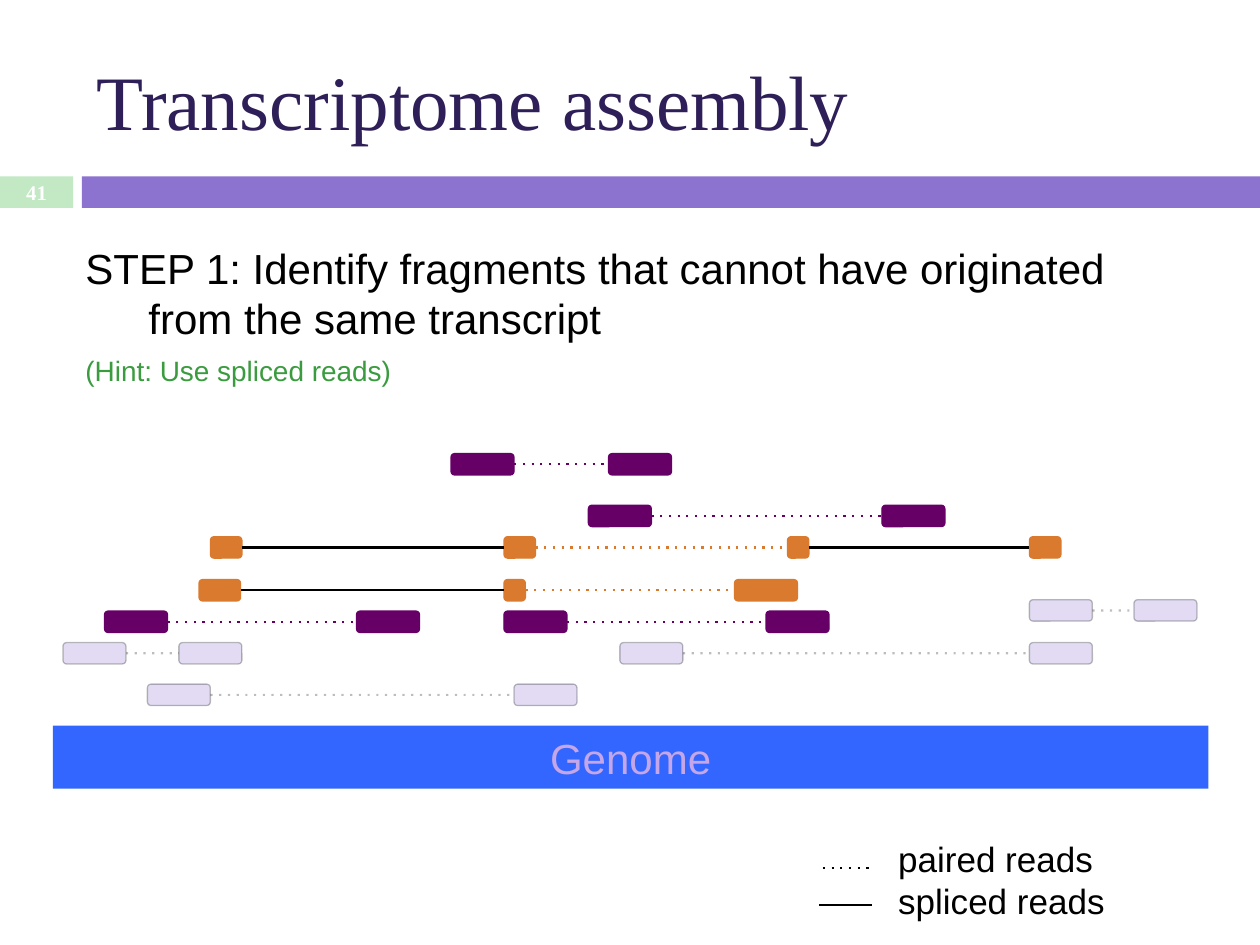
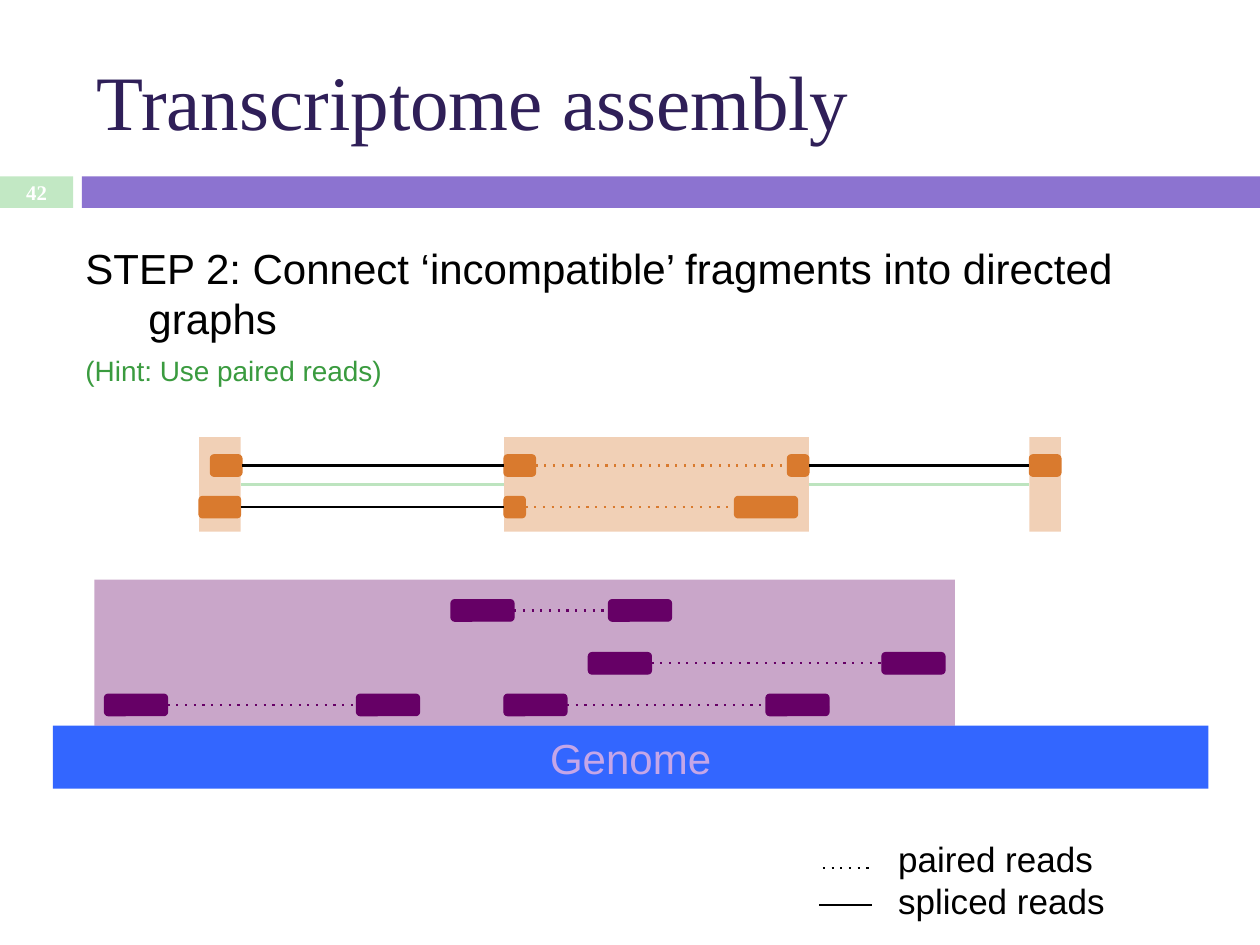
from collections import namedtuple
from itertools import pairwise

from lxml.etree import SubElement
from pptx import Presentation
from pptx.dml.color import RGBColor
from pptx.enum.shapes import MSO_CONNECTOR as CONNECTOR, MSO_SHAPE as SHAPE
from pptx.enum.text import MSO_ANCHOR as ANCHOR, PP_ALIGN as ALIGN
from pptx.oxml.ns import qn
from pptx.util import Inches, Pt

COLORS = {
    "black": "000000", "white": "FFFFFF", "title": "2F1F58", "hint": "3A9B3F",
    "band": "8C73D0", "number": "C2E8C4", "genome": "3366FF", "genome text": "C5A6E8",
    "orange": "D97A2E", "purple": "660066", "edge": "BDE4BF",
}
SANS, SERIF = "Arial", "Times New Roman"
BLOCK_H = 0.17
LEFT, RIGHT = 1, 3

Read = namedtuple("Read", "kind blocks links")
PAIRED, SPLICED = "paired", "spliced"

LONG_SPLICED = Read("orange", [(1.67, 0.25), (4, 0.25), (6.25, 0.17), (8.17, 0.25)],
                    [SPLICED, PAIRED, SPLICED])
SHORT_SPLICED = Read("orange", [(1.58, 0.33), (4, 0.17), (5.83, 0.5)], [SPLICED, PAIRED])


def pair(kind, x1, x2):
    """Return a read of two half-inch blocks joined by a paired link."""
    return Read(kind, [(x1, 0.5), (x2, 0.5)], [PAIRED])


PURPLE_TOP = pair("purple", 3.58, 4.83)
PURPLE_MIDDLE = pair("purple", 4.67, 7)
PURPLE_LEFT = pair("purple", 0.83, 2.83)
PURPLE_RIGHT = pair("purple", 4, 6.08)

STEP1_ROWS = [
    (3.6, PURPLE_TOP), (4.01, PURPLE_MIDDLE),
    (4.26, LONG_SPLICED), (4.6, SHORT_SPLICED),
    (4.85, PURPLE_LEFT), (4.85, PURPLE_RIGHT),
    (4.76, pair("faded", 8.17, 9)), (5.1, pair("faded", 0.5, 1.42)),
    (5.1, pair("faded", 4.92, 8.17)), (5.43, pair("faded", 1.17, 4.08)),
]
STEP2_ROWS = [
    (3.61, LONG_SPLICED), (3.94, SHORT_SPLICED),
    (4.76, PURPLE_TOP), (5.18, PURPLE_MIDDLE),
    (5.51, PURPLE_LEFT), (5.51, PURPLE_RIGHT),
]
EXONS = [(1.58, 0.33), (4, 2.42), (8.17, 0.25)]


def rgb(name):
    """Return the named colour."""
    return RGBColor.from_string(COLORS[name])


def fade(s, percent):
    """Make every colour of a shape translucent."""
    for color in s._element.iter(qn("a:srgbClr")):
        SubElement(color, qn("a:alpha"), val=str(percent * 1000))


def add_box(slide, x, y, w, h, fill, line=None, kind=SHAPE.RECTANGLE, alpha=None):
    """Add a filled shape, outlined if a line colour is given."""
    s = slide.shapes.add_shape(kind, Inches(x), Inches(y), Inches(w), Inches(h))
    s.shadow.inherit = False
    s.fill.solid()
    s.fill.fore_color.rgb = rgb(fill)
    if line:
        s.line.color.rgb = rgb(line)
        s.line.width = Pt(0.75)
    else:
        s.line.fill.background()
    if alpha:
        fade(s, alpha)
    return s


def add_line(slide, x1, x2, y, color="black", width=1.25, dotted=False, alpha=None):
    """Add a horizontal line."""
    c = slide.shapes.add_connector(CONNECTOR.STRAIGHT, Inches(x1), Inches(y), Inches(x2), Inches(y))
    c.line.color.rgb = rgb(color)
    c.line.width = Pt(width)
    sp_pr = c._element.spPr
    if dotted:
        SubElement(sp_pr.find(qn("a:ln")), qn("a:prstDash"), val="dot")
    SubElement(sp_pr, qn("a:effectLst"))
    if alpha:
        fade(c, alpha)
    return c


def join(slide, left, right, **style):
    """Join the facing sides of two boxes with a line."""
    c = add_line(slide, 0, 1, 0, **style)
    c.begin_connect(left, RIGHT)
    c.end_connect(right, LEFT)


def set_font(p, size, color, name=SANS, bold=False):
    """Set the font of a paragraph."""
    p.font.size, p.font.name, p.font.bold = Pt(size), name, bold
    p.font.color.rgb = rgb(color)


def add_text(slide, x, y, w, h, lines, size, color, name=SANS, bold=False,
             anchor=ANCHOR.TOP, align=ALIGN.LEFT):
    """Add a wrapped text box with one paragraph per line and return its frame."""
    tf = slide.shapes.add_textbox(Inches(x), Inches(y), Inches(w), Inches(h)).text_frame
    tf.word_wrap = True
    tf.vertical_anchor = anchor
    tf.text = "\n".join(lines)
    for p in tf.paragraphs:
        p.alignment = align
        set_font(p, size, color, name, bold)
    return tf


def add_frame(slide, number):
    """Add the bands, the slide number and the title."""
    add_box(slide, 0, 1.4, 0.58, 0.25, "number")
    add_box(slide, 0.65, 1.4, 9.35, 0.25, "band")
    add_text(slide, 0.67, 0.25, 8.92, 1.08, ["Transcriptome assembly"], 44, "title",
             SERIF, anchor=ANCHOR.MIDDLE)
    add_text(slide, 0, 1.39, 0.58, 0.27, [str(number)], 11.9, "white", SERIF, True,
             ANCHOR.MIDDLE, ALIGN.CENTER)


def add_step(slide, step, hint):
    """Add the step description with its hint, both with hanging indents."""
    tf = add_text(slide, 0.58, 1.87, 8.92, 1.25, [step, hint], 24, "black")
    for p in tf.paragraphs:
        p._p.get_or_add_pPr().set("marL", str(Inches(0.5)))
        p._p.get_or_add_pPr().set("indent", str(Inches(-0.5)))
    first, second = tf.paragraphs
    first.line_spacing = Pt(29)
    set_font(second, 16, "hint")
    second.line_spacing = Pt(18)
    second.space_before = Pt(7)


def add_genome(slide):
    """Add the genome bar."""
    s = add_box(slide, 0.42, 5.76, 9.17, 0.5, "genome")
    tf = s.text_frame
    tf.vertical_anchor = ANCHOR.MIDDLE
    p = tf.paragraphs[0]
    p.text = "Genome"
    p.alignment = ALIGN.CENTER
    set_font(p, 24, "genome text")


def add_read(slide, y, read):
    """Add the blocks of a read and the links between them."""
    faded = read.kind == "faded"
    fill, edge, alpha = ("band", "black", 25) if faded else (read.kind, read.kind, None)
    blocks = [add_box(slide, x, y, w, BLOCK_H, fill, edge, SHAPE.ROUNDED_RECTANGLE, alpha)
              for x, w in read.blocks]
    for (left, right), link in zip(pairwise(blocks), read.links):
        paired = link == PAIRED
        join(slide, left, right, color=edge if paired else "black", dotted=paired, alpha=alpha)


def add_legend(slide):
    """Add the key to the two link styles."""
    tf = add_text(slide, 7.03, 6.6, 2.58, 0.77, ["paired reads", "spliced reads"], 20, "black")
    for p in tf.paragraphs:
        p.line_spacing = Pt(24)
    add_line(slide, 6.53, 6.94, 6.89, dotted=True)
    add_line(slide, 6.5, 6.92, 7.18)


def add_groups(slide):
    """Add the translucent groups and the edges between exons."""
    exons = [add_box(slide, x, 3.47, w, 0.75, "orange", alpha=35) for x, w in EXONS]
    for left, right in pairwise(exons):
        join(slide, left, right, color="edge", width=2)
    add_box(slide, 0.75, 4.6, 6.83, 1.16, "purple", alpha=35)


def add_assembly_slide(prs, number, step, hint, rows):
    """Add a slide with a step, its reads, the genome and the legend."""
    slide = prs.slides.add_slide(prs.slide_layouts[6])
    add_frame(slide, number)
    add_step(slide, step, hint)
    add_genome(slide)
    for y, read in rows:
        add_read(slide, y, read)
    add_legend(slide)
    return slide


def main():
    """Build the presentation."""
    prs = Presentation()
    prs.slide_width, prs.slide_height = Inches(10), Inches(7.5)
    add_assembly_slide(
        prs, 41,
        "STEP 1: Identify fragments that cannot have originated from the same transcript",
        "(Hint: Use spliced reads)", STEP1_ROWS)
    slide = add_assembly_slide(
        prs, 42,
        "STEP 2: Connect ‘incompatible’ fragments into directed graphs",
        "(Hint: Use paired reads)", STEP2_ROWS)
    add_groups(slide)
    prs.save("out.pptx")


if __name__ == "__main__":
    main()
